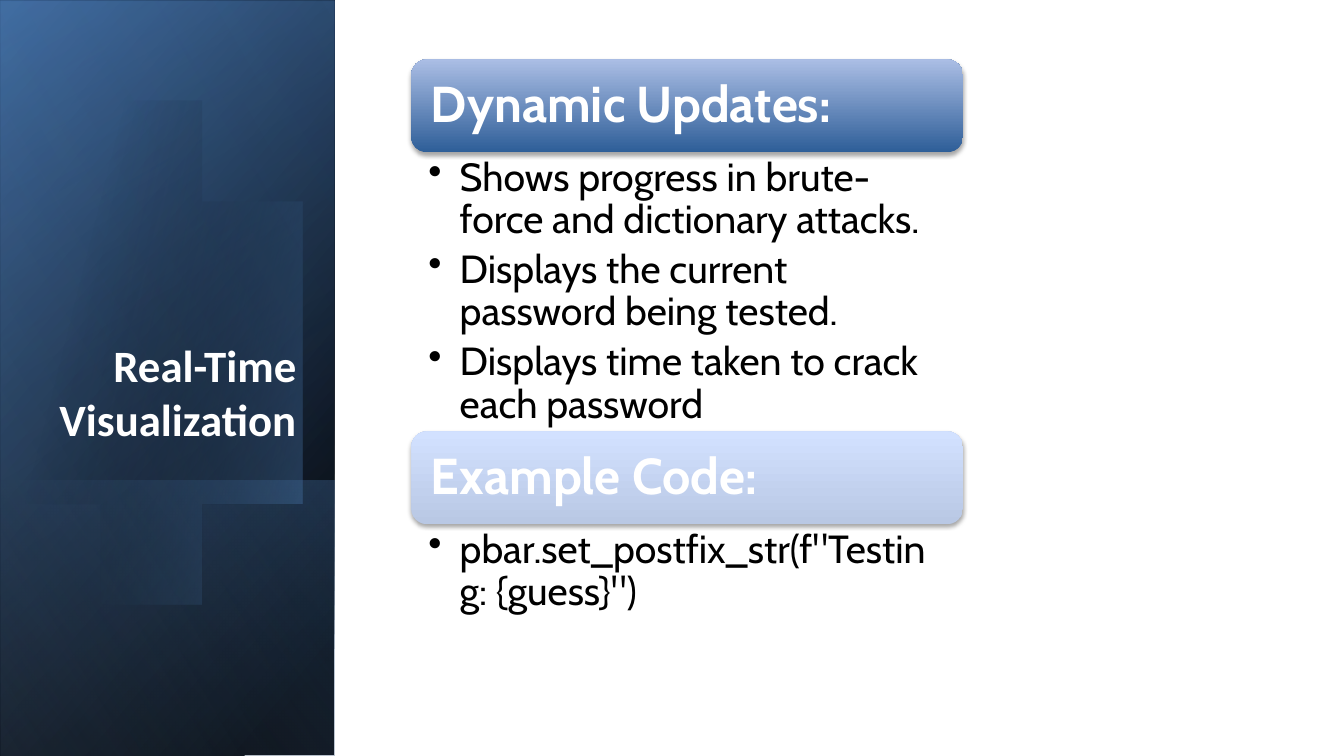
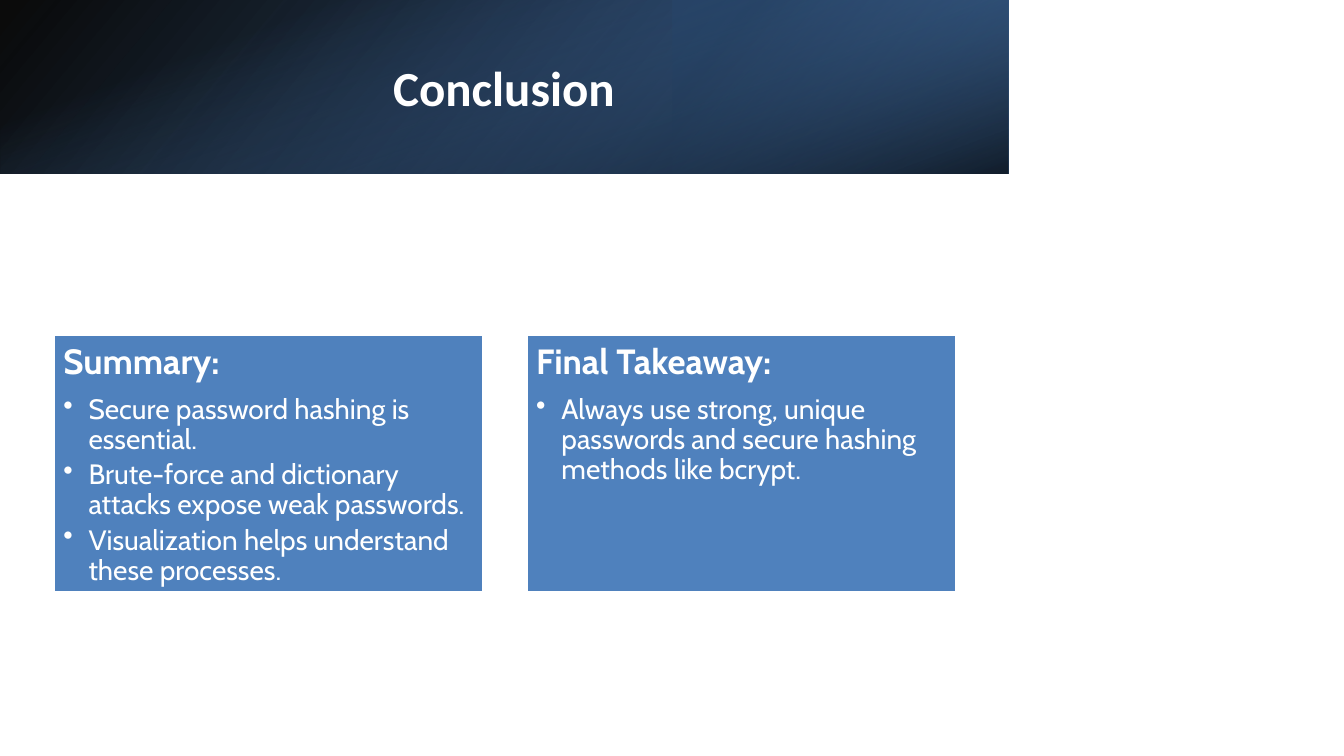
"""Build two slides: real-time visualization and conclusion."""
from lxml.etree import SubElement
from pptx import Presentation
from pptx.dml.color import RGBColor
from pptx.enum.shapes import MSO_SHAPE as Preset
from pptx.enum.text import MSO_ANCHOR as Anchor, PP_ALIGN as Align
from pptx.oxml import parse_xml
from pptx.oxml.ns import nsdecls, qn
from pptx.util import Inches, Pt

COLORS = {
    "white": "FFFFFF", "black": "000000", "accent": "4F81BD",
    "deep": "376092", "navy": "254061", "pale": "95B3D7",
    "bar_dark": "2E5E98", "bar_light": "ABBEE5",
    "soft_dark": "B9C8E4", "soft_light": "D2E1FF",
}
TITLE_FONT, BODY_FONT = "Calibri", "Cabin"

SIDE_TITLE = ("Real-Time Visualization", (0.35, 1.87, 2.69, 2.6), 32, Align.RIGHT, Anchor.BOTTOM)
TOP_TITLE = ("Conclusion", (0.88, 0.38, 8.24, 0.96), 35, Align.CENTER, Anchor.MIDDLE)

SECTIONS = [
    ("Dynamic Updates:", ("bar_dark", "bar_light"), 2.77, [
        "Shows progress in brute-force and dictionary attacks.",
        "Displays the current password being tested.",
        "Displays time taken to crack each password"]),
    ("Example Code:", ("soft_dark", "soft_light"), 0.92, [
        "pbar.set_postfix_str(f\"Testing: {guess}\")"]),
]
PANELS = [
    ("Summary:", [
        "Secure password hashing is essential.",
        "Brute-force and dictionary attacks expose weak passwords.",
        "Visualization helps understand these processes."]),
    ("Final Takeaway:", [
        "Always use strong, unique passwords and secure hashing methods like bcrypt."]),
]

SIDE_BAND = (-2.09, 2.09, 7.5, 3.31)
SIDE_LAYERS = [
    (SIDE_BAND, 90, True, [(8, "black", 100), (100, "deep", 100)], 50),
    ((-2.09, 2.11, 7.5, 3.31), 90, True, [(0, "black", 0), (99, "accent", 46)], 30),
    ((0.29, 4.48, 2.74, 3.31), 90, True, [(2, "accent", 29), (100, "black", 30)], 130),
]
SIDE_SHEEN = (SIDE_BAND, 90, True, [(0, "black", 0), (99, "pale", 11)], 120)
TOP_LAYERS = [
    ((0, 0, 10, 1.72), 0, True, [(0, "black", 96), (100, "deep", 100)], 140),
    ((6.67, 0, 3.33, 1.72), 180, True, [(19, "navy", 68), (100, "accent", 79)], 320),
    ((4.14, -4.14, 1.72, 10), 90, False, [(23, "accent", 0), (99, "black", 74)], 340),
]
OVAL_START = (0.96, 1.14)
OVAL_CURVES = [
    [(1.71, 1.22), (2.44, 1.92), (2.73, 2.9)],
    [(3.07, 4.12), (2.62, 5.31), (1.71, 5.57)],
    [(1.14, 5.74), (0.53, 5.5), (0.07, 5)],
    [(-0.03, 4.88)],
    [(-0.25, 1.66)],
    [(-0.15, 1.54)],
    [(0.02, 1.37), (0.22, 1.25), (0.45, 1.18)],
    [(0.62, 1.13), (0.79, 1.12), (0.96, 1.14)],
]
OVAL_STOPS = [(29, "black", 0), (100, "accent", 43)]
CURVE_STEPS = 16


def color(name):
    return RGBColor.from_string(COLORS[name])


def set_gradient(shape, stops, angle):
    marks = "".join(
        f'<a:gs pos="{position * 1000}"><a:srgbClr val="{COLORS[name]}">'
        f'<a:alpha val="{opacity * 1000}"/></a:srgbClr></a:gs>'
        for position, name, opacity in stops)
    shape._element.spPr.insert(2, parse_xml(
        f'<a:gradFill {nsdecls("a")} rotWithShape="1"><a:gsLst>{marks}</a:gsLst>'
        f'<a:lin ang="{angle * 60000}" scaled="0"/></a:gradFill>'))


def add_box(slide, preset, place):
    shape = slide.shapes.add_shape(preset, *map(Inches, place))
    shape.shadow.inherit = False
    shape.line.fill.background()
    return shape


def add_layer(slide, place, rotation, flipped, stops, angle):
    shape = add_box(slide, Preset.RECTANGLE, place)
    shape.rotation = rotation
    if flipped:
        shape._element.spPr.find(qn("a:xfrm")).set("flipH", "1")
    set_gradient(shape, stops, angle)


def curve_points(start, controls):
    points = [start, *controls]
    for step in range(1, CURVE_STEPS + 1):
        t = step / CURVE_STEPS
        weights = ((1 - t) ** 3, 3 * t * (1 - t) ** 2, 3 * t * t * (1 - t), t ** 3)
        yield tuple(sum(w * point[axis] for w, point in zip(weights, points)) for axis in (0, 1))


def add_oval(slide):
    outline, current = [], OVAL_START
    for controls in OVAL_CURVES:
        outline += curve_points(current, controls) if len(controls) == 3 else controls
        current = controls[-1]
    builder = slide.shapes.build_freeform(*OVAL_START, scale=Inches(1))
    builder.add_line_segments(outline, close=True)
    shape = builder.convert_to_shape()
    shape.shadow.inherit = False
    shape.line.fill.background()
    set_gradient(shape, OVAL_STOPS, 14)


def set_frame(shape, insets, anchor):
    frame = shape.text_frame
    frame.word_wrap = True
    frame.vertical_anchor = anchor
    (frame.margin_left, frame.margin_top,
     frame.margin_right, frame.margin_bottom) = map(Inches, insets)
    return frame


def write(paragraph, text, size, font, tint, bold=False, align=Align.LEFT):
    paragraph.alignment = align
    run = paragraph.add_run()
    run.text = text
    run.font.name, run.font.size, run.font.bold = font, Pt(size), bold
    run.font.color.rgb = color(tint)


def write_body(frame, heading, bullets, sizes, tint, indent, gap):
    lines = ([(heading, True)] if heading else []) + [(text, False) for text in bullets]
    for index, (text, is_heading) in enumerate(lines):
        paragraph = frame.paragraphs[0] if index == 0 else frame.add_paragraph()
        if not is_heading:
            properties = paragraph._p.get_or_add_pPr()
            properties.set("marL", str(Inches(indent)))
            properties.set("indent", str(-Inches(indent)))
            SubElement(properties, qn("a:buChar")).set("char", "•")
        paragraph.line_spacing = 0.9
        paragraph.space_after = Pt(9 if is_heading else gap)
        write(paragraph, text, sizes[0 if is_heading else 1], BODY_FONT, tint, is_heading)


def add_title(slide, text, place, size, align, anchor):
    box = slide.shapes.add_textbox(*map(Inches, place))
    frame = set_frame(box, (0.1, 0.05, 0.1, 0.05), anchor)
    write(frame.paragraphs[0], text, size, TITLE_FONT, "white", True, align)


def add_bar_shadow(shape):
    effects = shape._element.spPr.find(qn("a:effectLst"))
    effects.append(parse_xml(
        f'<a:outerShdw {nsdecls("a")} blurRad="{Pt(3.1)}" dist="{Pt(1.8)}" dir="5400000" '
        f'rotWithShape="0"><a:srgbClr val="{COLORS["black"]}"><a:alpha val="35000"/>'
        '</a:srgbClr></a:outerShdw>'))


def add_sections(slide):
    left, top, width, bar_height = 4.08, 0.59, 5.47, 0.92
    for heading, (dark, light), body_height, bullets in SECTIONS:
        bar = add_box(slide, Preset.ROUNDED_RECTANGLE, (left, top, width, bar_height))
        set_gradient(bar, [(0, dark, 100), (100, light, 100)], 270)
        add_bar_shadow(bar)
        write_body(set_frame(bar, (0.15, 0.15, 0.15, 0.15), Anchor.MIDDLE),
                   heading, [], (36, 28), "white", 0, 0)
        top += bar_height
        body = slide.shapes.add_textbox(*map(Inches, (left, top, width, body_height)))
        write_body(set_frame(body, (0.17, 0.05, 0.28, 0.05), Anchor.TOP),
                   None, bullets, (36, 28), "black", 0.31, 5.5)
        top += body_height


def add_panels(slide):
    left, top, width, height, gap = 0.53, 3.32, 4.27, 2.56, 0.42
    for index, (heading, bullets) in enumerate(PANELS):
        panel = add_box(slide, Preset.RECTANGLE,
                        (left + index * (width + gap), top, width, height))
        panel.fill.solid()
        panel.fill.fore_color.rgb = color("accent")
        panel.line.color.rgb = color("white")
        panel.line.width = Pt(2)
        write_body(set_frame(panel, (0.1, 0.1, 0.1, 0.1), Anchor.TOP),
                   heading, bullets, (25, 20), "white", 0.25, 3.5)


def main():
    presentation = Presentation()
    presentation.slide_width, presentation.slide_height = Inches(13.33), Inches(7.5)
    blank = presentation.slide_layouts[6]

    slide = presentation.slides.add_slide(blank)
    for layer in SIDE_LAYERS:
        add_layer(slide, *layer)
    add_oval(slide)
    add_layer(slide, *SIDE_SHEEN)
    add_title(slide, *SIDE_TITLE)
    add_sections(slide)

    slide = presentation.slides.add_slide(blank)
    for layer in TOP_LAYERS:
        add_layer(slide, *layer)
    add_title(slide, *TOP_TITLE)
    add_panels(slide)

    presentation.save("out.pptx")


if __name__ == "__main__":
    main()
